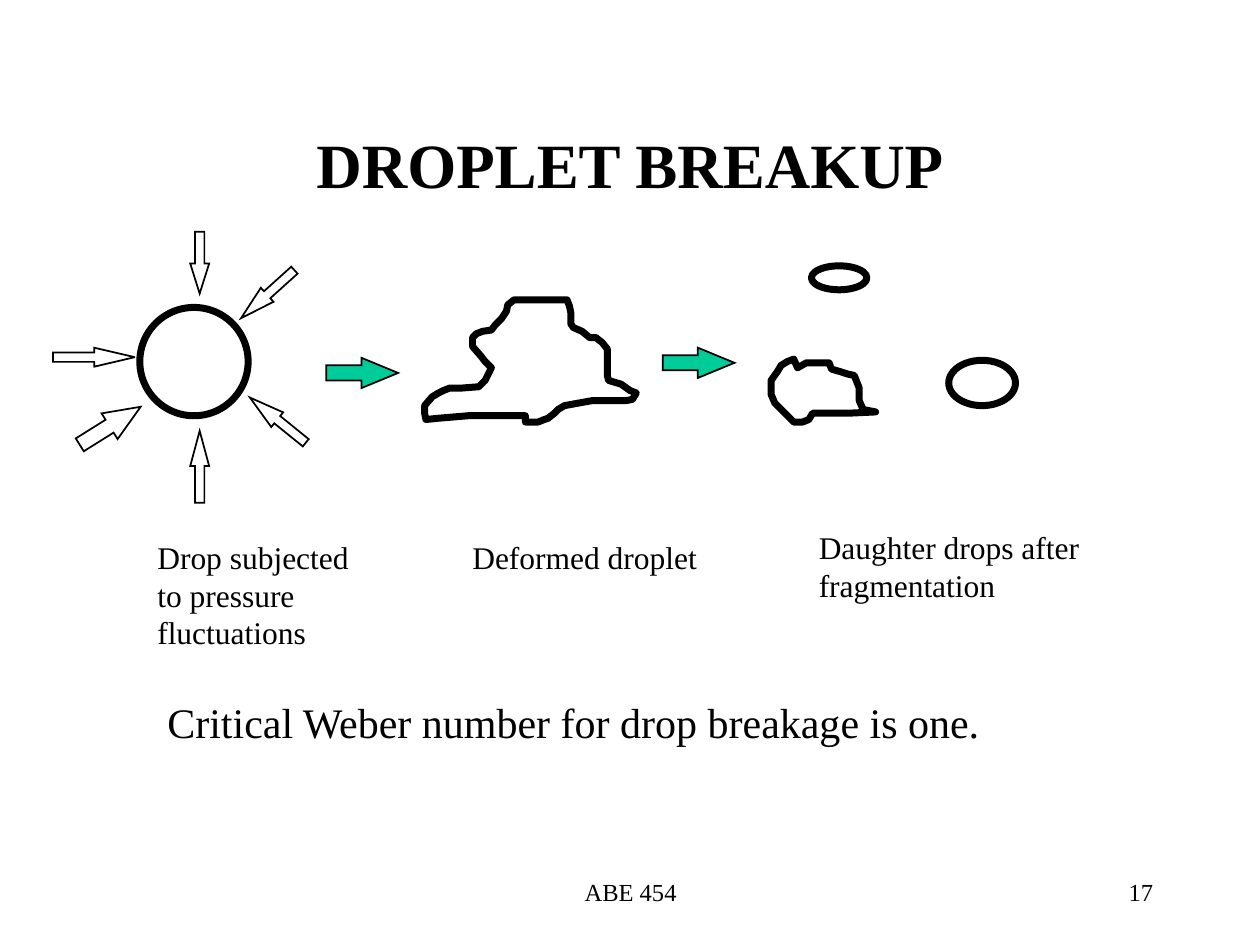
from lxml import etree
from pptx import Presentation
from pptx.dml.color import RGBColor
from pptx.enum.shapes import MSO_SHAPE
from pptx.enum.text import MSO_ANCHOR, MSO_AUTO_SIZE, PP_ALIGN
from pptx.oxml.ns import qn
from pptx.util import Inches, Pt

OVAL = MSO_SHAPE.OVAL
UP, DOWN = MSO_SHAPE.UP_ARROW, MSO_SHAPE.DOWN_ARROW
LEFT_ARROW, RIGHT_ARROW = MSO_SHAPE.LEFT_ARROW, MSO_SHAPE.RIGHT_ARROW
LEFT, CENTER, RIGHT = PP_ALIGN.LEFT, PP_ALIGN.CENTER, PP_ALIGN.RIGHT

DEFORMED_DROP = [
    (3.75, 2.75), (3.75, 2.68), (3.78, 2.65), (3.83, 2.63), (3.9, 2.62),
    (3.93, 2.58), (3.98, 2.53), (4.02, 2.47), (4.03, 2.42), (4.08, 2.38),
    (4.5, 2.38), (4.52, 2.43), (4.53, 2.48), (4.53, 2.57), (4.55, 2.6),
    (4.62, 2.63), (4.68, 2.68), (4.73, 2.68), (4.78, 2.72), (4.82, 2.77),
    (4.82, 2.98), (4.83, 3.02), (4.93, 3.05), (5, 3.1), (5.05, 3.12),
    (5.02, 3.17), (4.97, 3.18), (4.7, 3.18), (4.48, 3.22), (4.43, 3.25),
    (4.4, 3.28), (4.35, 3.32), (4.32, 3.33), (4.27, 3.35), (4.17, 3.35),
    (4.17, 3.3), (3.72, 3.3), (3.48, 3.32), (3.38, 3.33), (3.37, 3.28),
    (3.37, 3.22), (3.43, 3.15), (3.48, 3.12), (3.52, 3.1), (3.57, 3.08),
    (3.67, 3.08), (3.8, 3.07), (3.85, 3.02), (3.87, 2.98), (3.9, 2.92),
    (3.85, 2.87), (3.82, 2.83),
]
FRAGMENT = [
    (6.33, 2.92), (6.4, 2.88), (6.58, 2.88), (6.6, 2.93), (6.67, 2.95),
    (6.73, 2.97), (6.78, 2.98), (6.8, 3.03), (6.82, 3.08), (6.82, 3.18),
    (6.85, 3.25), (6.95, 3.27), (6.73, 3.28), (6.45, 3.28), (6.42, 3.33),
    (6.37, 3.35), (6.3, 3.35), (6.2, 3.25), (6.15, 3.2), (6.12, 3.13),
    (6.12, 3.02), (6.17, 2.95), (6.2, 2.9), (6.25, 2.87), (6.3, 2.85),
]


def rgb(code):
    return RGBColor.from_string(code)


class Page:
    font, ink, paper, accent = "Times New Roman", "000000", "FFFFFF", "00CC99"
    thick, thin = 4, 1

    def __init__(self, deck):
        self.shapes = deck.slides.add_slide(deck.slide_layouts[6]).shapes

    def style(self, shape, fill, width):
        """Thick outlines get round corners, thin ones sharp corners."""
        shape.shadow.inherit = False
        if fill:
            shape.fill.solid()
            shape.fill.fore_color.rgb = rgb(fill)
        else:
            shape.fill.background()
        shape.line.color.rgb = rgb(self.ink)
        shape.line.width = Pt(width)
        join = "a:round" if width == self.thick else "a:miter"
        etree.SubElement(shape.line._get_or_add_ln(), qn(join))

    def drop(self, *frame):
        shape = self.shapes.add_shape(OVAL, *map(Inches, frame))
        self.style(shape, self.paper, self.thick)

    def outline(self, points):
        start, *rest = [(Inches(x), Inches(y)) for x, y in points]
        builder = self.shapes.build_freeform(*start)
        builder.add_line_segments(rest, close=True)
        self.style(builder.convert_to_shape(), None, self.thick)

    def arrow(self, kind, frame, head, fill, rotation=0):
        """head is the length of the arrowhead relative to the arrow's thickness."""
        shape = self.shapes.add_shape(kind, *map(Inches, frame))
        shape.adjustments[0] = 0.5
        shape.adjustments[1] = head
        shape.rotation = rotation
        self.style(shape, fill, self.thin)

    def text(self, frame, lines, size, align=LEFT, bold=False, fixed=False):
        """A fixed box wraps and centres vertically; others grow with their text."""
        box = self.shapes.add_textbox(*map(Inches, frame)).text_frame
        box.word_wrap = fixed
        box.auto_size = MSO_AUTO_SIZE.NONE if fixed else MSO_AUTO_SIZE.SHAPE_TO_FIT_TEXT
        box.vertical_anchor = MSO_ANCHOR.MIDDLE if fixed else MSO_ANCHOR.TOP
        box.text = "\n".join(lines)
        for para in box.paragraphs:
            para.alignment = align
            para.font.name = self.font
            para.font.size = Pt(size)
            para.font.bold = bold
            para.font.color.rgb = rgb(self.ink)


def main():
    deck = Presentation()
    deck.slide_width, deck.slide_height = Inches(10), Inches(7.5)
    page = Page(deck)

    page.text((0.75, 0.67, 8.5, 1.25), ["DROPLET BREAKUP"], 36, CENTER, bold=True, fixed=True)

    page.drop(1.11, 2.44, 0.86, 0.86)
    page.outline(DEFORMED_DROP)
    page.drop(6.44, 2.11, 0.44, 0.19)
    page.drop(7.53, 2.86, 0.53, 0.36)
    page.outline(FRAGMENT)

    for left, top in ((2.59, 2.84), (5.26, 2.76)):
        page.arrow(RIGHT_ARROW, (left, top, 0.57, 0.24), 1.21, page.accent)

    pressure_arrows = [
        (UP, (1.51, 3.42, 0.15, 0.57), 1.86, page.paper, 0),
        (DOWN, (1.51, 1.84, 0.15, 0.49), 1.59, page.paper, 0),
        (LEFT_ARROW, (1.92, 3.26, 0.57, 0.15), 1.86, page.paper, 39),
        (LEFT_ARROW, (1.84, 2.26, 0.57, 0.15), 1.86, page.paper, 318),
        (RIGHT_ARROW, (0.59, 3.26, 0.57, 0.24), 1.21, None, 328),
        (RIGHT_ARROW, (0.42, 2.76, 0.65, 0.15), 2.14, page.paper, 0),
    ]
    for arrow in pressure_arrows:
        page.arrow(*arrow)

    page.text((1.15, 4.22, 1.79, 1), ["Drop subjected", "to pressure", "fluctuations"], 18)
    page.text((3.65, 4.22, 1.99, 0.4), ["Deformed droplet"], 18)
    page.text((6.4, 4.14, 2.27, 0.7), ["Daughter drops after", "fragmentation"], 18)
    page.text((1.23, 5.48, 6.68, 0.5), ["Critical Weber number for drop breakage is one."], 24)

    page.text((3.42, 6.83, 3.17, 0.5), ["ABE 454"], 14, CENTER, fixed=True)
    page.text((7.17, 6.83, 2.08, 0.5), ["17"], 14, RIGHT, fixed=True)

    deck.save("out.pptx")


if __name__ == "__main__":
    main()
